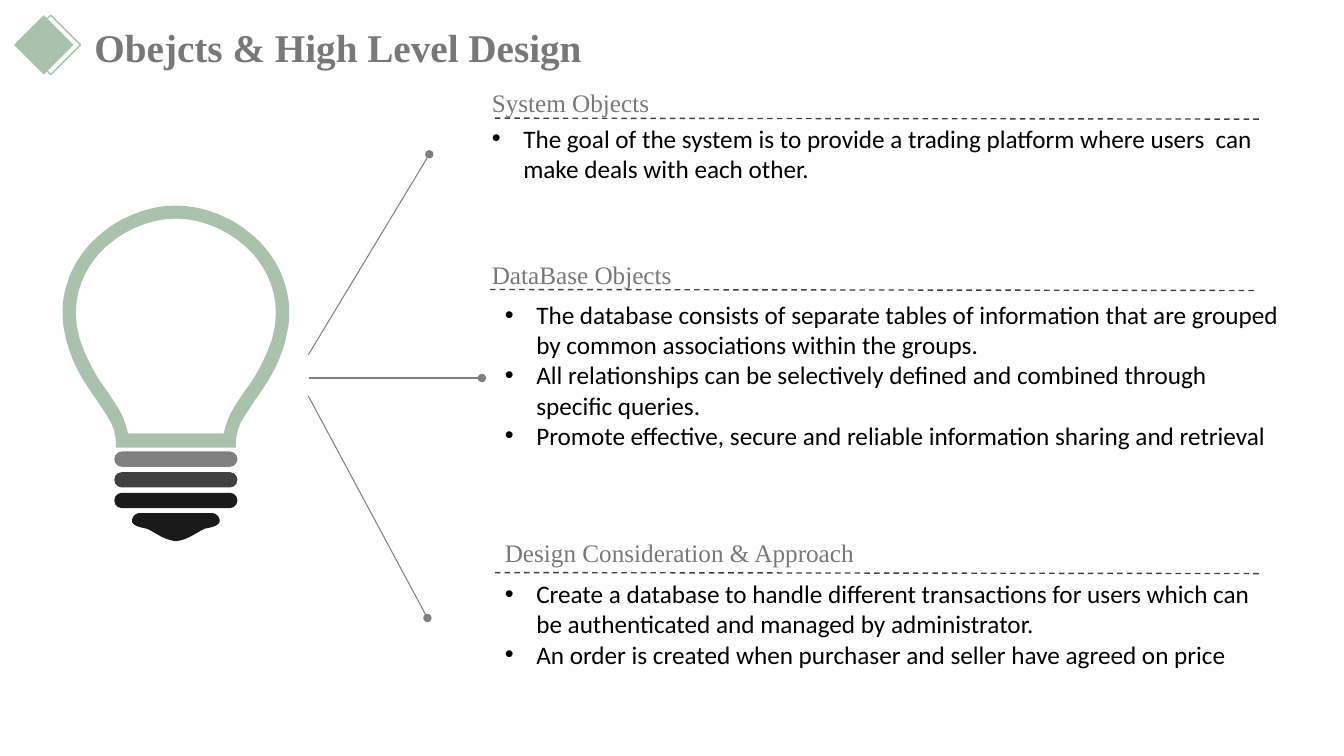
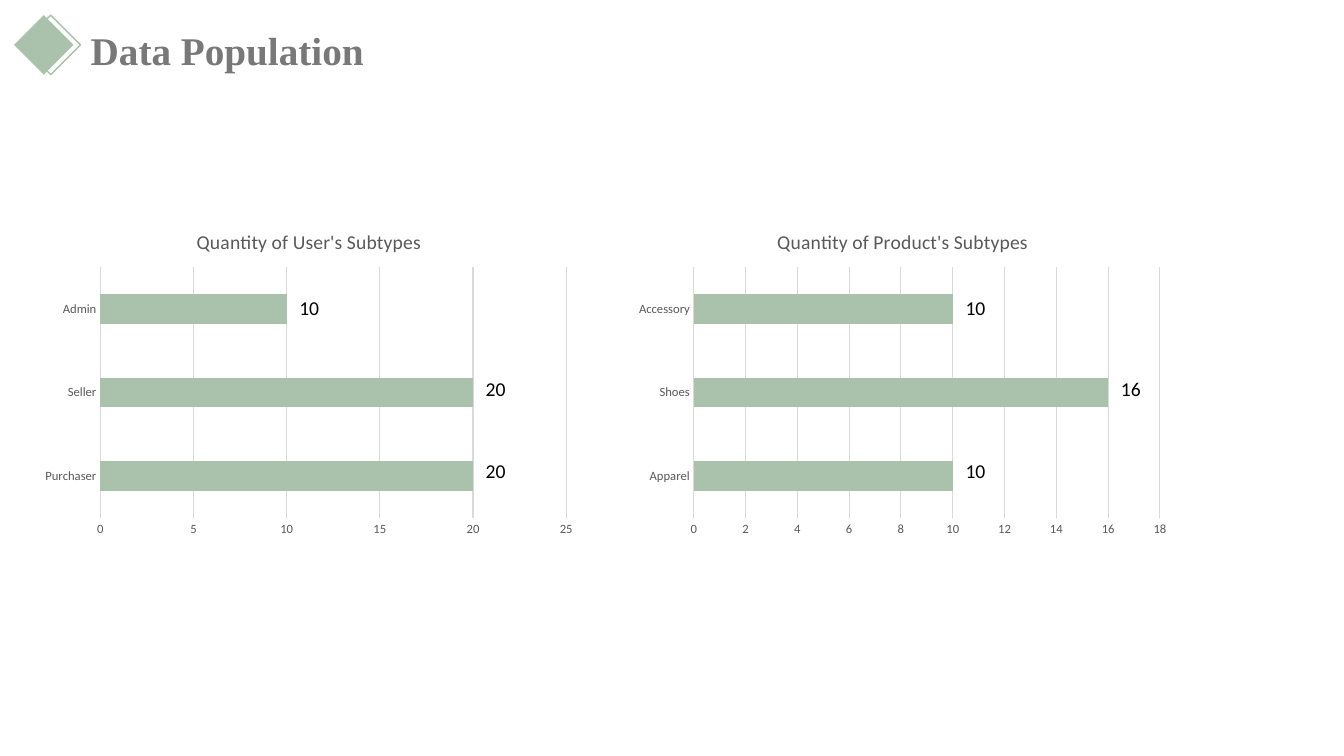
"""Build the design overview and data population slides."""
from dataclasses import dataclass

from pptx import Presentation
from pptx.chart.data import CategoryChartData
from pptx.dml.color import RGBColor
from pptx.enum.chart import XL_CHART_TYPE as ChartType, XL_TICK_MARK as TickMark
from pptx.enum.dml import MSO_LINE as LineDash
from pptx.enum.shapes import MSO_CONNECTOR as Connector, MSO_SHAPE as Preset
from pptx.enum.text import MSO_ANCHOR as Anchor, MSO_AUTO_SIZE as AutoSize, PP_ALIGN as Align
from pptx.oxml.ns import qn
from pptx.shapes.autoshape import Shape
from pptx.slide import Slide, SlideLayout
from pptx.text.text import Font
from pptx.util import Pt
from lxml.etree import SubElement

Point = tuple[float, float]
Curve = tuple[Point, Point, Point]


@dataclass(frozen=True)
class Theme:
    """Colours, fonts and type sizes of the deck."""

    sage: str = "AAC2AC"
    heading: str = "787878"
    text: str = "000000"
    gray: str = "808080"
    charcoal: str = "404040"
    black: str = "1A1A1A"
    chart_text: str = "595959"
    grid: str = "D9D9D9"
    serif: str = "Times New Roman"
    sans: str = "Calibri"
    title_size: float = 28
    body_size: float = 18
    label_size: float = 14
    axis_size: float = 9


THEME = Theme()


@dataclass(frozen=True)
class Box:
    """A rectangle in points."""

    left: float
    top: float
    width: float
    height: float

    def emu(self) -> tuple[int, int, int, int]:
        """Return the rectangle as slide lengths."""
        return Pt(self.left), Pt(self.top), Pt(self.width), Pt(self.height)


@dataclass(frozen=True)
class Section:
    """A heading, a dashed rule and a bullet list."""

    heading: str
    heading_box: Box
    rule_start: Point
    rule_length: float
    bullets: tuple[str, ...]
    body_box: Box


@dataclass(frozen=True)
class Pointer:
    """A line ending in a dot."""

    start: Point
    end: Point


@dataclass(frozen=True)
class BarChart:
    """A horizontal bar chart with one series."""

    title: str
    left: float
    categories: tuple[str, ...]
    values: tuple[int, ...]
    maximum: int
    step: int


SECTIONS = (
    Section("System Objects", Box(344.2, 59, 184, 51), (353.5, 84.4), 548.5,
            ("The goal of the system is to provide a trading platform where users  can "
             "make deals with each other.",), Box(344.2, 84.2, 571, 73)),
    Section("DataBase Objects", Box(344.2, 181.5, 459, 51), (350, 206.8), 545.8,
            ("The database consists of separate tables of information that are grouped by "
             "common associations within the groups.",
             "All relationships can be selectively defined and combined through specific queries.",
             "Promote effective, secure and reliable information sharing and retrieval"),
            Box(353.5, 210.2, 571, 138)),
    Section("Design Consideration & Approach", Box(353.5, 380.2, 542, 29), (353.5, 409), 545.8,
            ("Create a database to handle different transactions for users which can be "
             "authenticated and managed by administrator.",
             "An order is created when purchaser and seller have agreed on price"),
            Box(353.5, 409.7, 561.6, 94)),
)
POINTERS = (
    Pointer((220.3, 253.4), (306.7, 110.2)),
    Pointer((221, 270), (344.2, 270)),
    Pointer((220.3, 283), (305.3, 441.4)),
)
CHARTS = (
    BarChart("Quantity of User's Subtypes", 24.5, ("Purchaser", "Seller", "Admin"),
             (20, 20, 10), 25, 5),
    BarChart("Quantity of Product's Subtypes", 448.6, ("Apparel", "Shoes", "Accessory"),
             (10, 16, 10), 18, 2),
)

BULB_AXIS = 125.64
GLASS_OUTSIDE: tuple[Curve, ...] = (
    ((11.9, 146.9), (23.4, 149.8), (34.2, 154.8)),
    ((44.3, 159.1), (53.6, 166.3), (62, 175)),
    ((69.5, 183.6), (74.5, 192.2), (77.4, 201.6)),
    ((81, 211.7), (81.7, 222.5), (80.3, 233.3)),
    ((79.6, 236.9), (78.8, 240.5), (78.1, 244)),
    ((73.1, 262.1), (64.4, 275), (56.5, 285.8)),
    ((52.9, 291.6), (49.3, 296.6), (46.4, 301.7)),
    ((44.3, 306.7), (42.8, 310.3), (42.8, 319.7)),
)
GLASS_INSIDE: tuple[Curve, ...] = (
    ((19.8, 156.2), (40.7, 165.6), (55.1, 181.4)),
    ((64.4, 192.2), (73.8, 208.8), (70.9, 231.8)),
    ((70.2, 235.4), (69.5, 238.3), (68.8, 241.9)),
    ((63.4, 257.8), (56.5, 270), (48.6, 280.1)),
    ((45, 285.8), (40.7, 291.6), (37.8, 298.1)),
    ((36.4, 301.7), (34.9, 306), (34.2, 309.6)),
)
TIP: tuple[Curve, ...] = (
    ((10, 366.5), (18, 366.5), (25.6, 366.5)),
    ((28.4, 366.5), (31.3, 368.6), (31.3, 372.2)),
    ((31.3, 375.1), (26.3, 376.6), (22.3, 377.3)),
    ((18.7, 377.3), (9.4, 385.9), (0, 386.6)),
)


def color(value: str) -> RGBColor:
    """Turn a hex value into a colour."""
    return RGBColor.from_string(value)


def style_font(font: Font, name: str, size: float, value: str, bold: bool = False) -> None:
    """Set the face, size, colour and weight of a font."""
    font.name, font.size, font.bold = name, Pt(size), bold
    font.color.rgb = color(value)


def style_shape(shape: Shape, fill: str | None, line: str | None = None) -> None:
    """Give a shape a flat fill and an optional outline."""
    shape.shadow.inherit = False
    if fill:
        shape.fill.solid()
        shape.fill.fore_color.rgb = color(fill)
    else:
        shape.fill.background()
    if line:
        shape.line.color.rgb = color(line)
        shape.line.width = Pt(1)
    else:
        shape.line.fill.background()


def add_badge(slide: Slide, layout: SlideLayout) -> None:
    """Draw the two diamonds and hand them to the layout."""
    for left, fill, line in ((10, THEME.sage, None), (15, None, THEME.sage)):
        diamond = slide.shapes.add_shape(Preset.DIAMOND, *Box(left, 10.8, 42.5, 42.5).emu())
        style_shape(diamond, fill, line)
        layout.shapes.element.append(diamond.element)


def set_title(slide: Slide, text: str, left: float, top: float) -> None:
    """Place and format the title placeholder."""
    title = slide.shapes.title
    title.left, title.top, title.width, title.height = Box(left, top, 600, 41).emu()
    frame = title.text_frame
    frame.text = text
    frame.word_wrap, frame.auto_size = True, AutoSize.NONE
    frame.vertical_anchor = Anchor.TOP
    paragraph = frame.paragraphs[0]
    paragraph.alignment = Align.LEFT
    style_font(paragraph.runs[0].font, THEME.serif, THEME.title_size, THEME.heading, True)


def add_text(slide: Slide, box: Box, lines: tuple[str, ...], name: str, size: float,
             value: str, bulleted: bool = False) -> None:
    """Add a wrapped text box, bulleted on request."""
    frame = slide.shapes.add_textbox(*box.emu()).text_frame
    frame.word_wrap = True
    frame.text = "\n".join(lines)
    for paragraph in frame.paragraphs:
        if bulleted:
            properties = paragraph._p.get_or_add_pPr()
            properties.set("marL", str(Pt(22.5)))
            properties.set("indent", str(-Pt(22.5)))
            SubElement(properties, qn("a:buFont"), typeface="Arial")
            SubElement(properties, qn("a:buChar"), char="•")
        style_font(paragraph.runs[0].font, name, size, value)


def add_line(slide: Slide, start: Point, end: Point, value: str, width: float,
             dashed: bool = False, dotted_end: bool = False) -> None:
    """Add a straight line, dashed or ending in a dot on request."""
    connector = slide.shapes.add_connector(
        Connector.STRAIGHT, *(Pt(length) for length in (*start, *end)))
    connector.line.color.rgb = color(value)
    connector.line.width = Pt(width)
    if dashed:
        connector.line.dash_style = LineDash.DASH
    if dotted_end:
        SubElement(connector.line._get_or_add_ln(), qn("a:tailEnd"), type="oval")
    SubElement(connector._element.spPr, qn("a:effectLst"))


def mirrored_outline(top: float, curves: tuple[Curve, ...], steps: int = 8) -> list[Point]:
    """Sample Bézier curves down one side and mirror them about the bulb axis."""
    side: list[Point] = [(0, top)]
    for first, second, end in curves:
        anchors = (side[-1], first, second, end)
        for step in range(1, steps + 1):
            t = step / steps
            weights = ((1 - t) ** 3, 3 * t * (1 - t) ** 2, 3 * t * t * (1 - t), t ** 3)
            side.append((sum(w * x for w, (x, _) in zip(weights, anchors)),
                         sum(w * y for w, (_, y) in zip(weights, anchors))))
    offsets = side + [(-x, y) for x, y in reversed(side)]
    return [(Pt(BULB_AXIS + x), Pt(y)) for x, y in offsets]


def add_outline(slide: Slide, contours: list[list[Point]], fill: str) -> None:
    """Add a filled freeform made of closed contours."""
    builder = slide.shapes.build_freeform(*contours[0][0])
    for index, contour in enumerate(contours):
        if index:
            builder.move_to(*contour[0])
        builder.add_line_segments(contour[1:], close=True)
    style_shape(builder.convert_to_shape(), fill)


def add_bulb(slide: Slide) -> None:
    """Draw the light bulb from glass, rings and tip."""
    glass = [mirrored_outline(146.9, GLASS_OUTSIDE), mirrored_outline(156.2, GLASS_INSIDE)]
    add_outline(slide, glass, THEME.sage)
    for index, fill in enumerate((THEME.gray, THEME.charcoal, THEME.black)):
        box = Box(BULB_AXIS - 44, 322.5 + 14.75 * index, 88, 11)
        ring = slide.shapes.add_shape(Preset.ROUNDED_RECTANGLE, *box.emu())
        ring.adjustments[0] = 0.5
        style_shape(ring, fill)
    add_outline(slide, [mirrored_outline(366.5, TIP)], THEME.black)


def add_section(slide: Slide, section: Section) -> None:
    """Draw one heading with its rule and bullets."""
    add_text(slide, section.heading_box, (section.heading,), THEME.serif,
             THEME.body_size, THEME.heading)
    add_text(slide, section.body_box, section.bullets, THEME.sans,
             THEME.body_size, THEME.text, bulleted=True)
    left, top = section.rule_start
    add_line(slide, (left, top), (left + section.rule_length, top + 0.7),
             THEME.charcoal, 1, dashed=True)


def add_bar_chart(slide: Slide, spec: BarChart) -> None:
    """Draw one bar chart and the values beside its bars."""
    data = CategoryChartData()
    data.categories = spec.categories
    data.add_series(spec.title, spec.values)
    box = Box(spec.left, 152, 392.4, 236)
    chart = slide.shapes.add_chart(ChartType.BAR_CLUSTERED, *box.emu(), data).chart
    style_font(chart.font, THEME.sans, THEME.axis_size, THEME.chart_text)
    chart.has_legend = False
    chart.has_title = True
    chart.chart_title.include_in_layout = False
    title = chart.chart_title.text_frame
    title.text = spec.title
    style_font(title.paragraphs[0].runs[0].font, THEME.sans, THEME.label_size, THEME.chart_text)
    plot = chart.plots[0]
    plot.gap_width, plot.vary_by_categories = 182, False
    fill = plot.series[0].format.fill
    fill.solid()
    fill.fore_color.rgb = color(THEME.sage)
    category_axis, value_axis = chart.category_axis, chart.value_axis
    for axis in (category_axis, value_axis):
        axis.major_tick_mark = axis.minor_tick_mark = TickMark.NONE
    value_axis.minimum_scale, value_axis.maximum_scale = 0, spec.maximum
    value_axis.major_unit = spec.step
    value_axis.format.line.fill.background()
    for line in (category_axis.format.line, value_axis.major_gridlines.format.line):
        line.color.rgb = color(THEME.grid)
        line.width = Pt(0.75)
    for row, value in enumerate(reversed(spec.values)):
        left = spec.left + 49 + 333 * value / spec.maximum
        add_text(slide, Box(left, 208 + 58 * row, 36, 24), (str(value),),
                 THEME.sans, THEME.label_size, THEME.text)


def main() -> None:
    """Build and save the presentation."""
    presentation = Presentation()
    presentation.slide_width, presentation.slide_height = Pt(960), Pt(540)
    layout = presentation.slide_layouts[5]

    design = presentation.slides.add_slide(layout)
    add_badge(design, layout)
    set_title(design, "Obejcts & High Level Design", 60.3, 13)
    for pointer in POINTERS:
        add_line(design, pointer.start, pointer.end, THEME.gray, 0.75, dotted_end=True)
    add_bulb(design)
    for section in SECTIONS:
        add_section(design, section)

    population = presentation.slides.add_slide(layout)
    set_title(population, "Data Population", 57.6, 15)
    for chart in CHARTS:
        add_bar_chart(population, chart)
    presentation.save("out.pptx")


if __name__ == "__main__":
    main()
